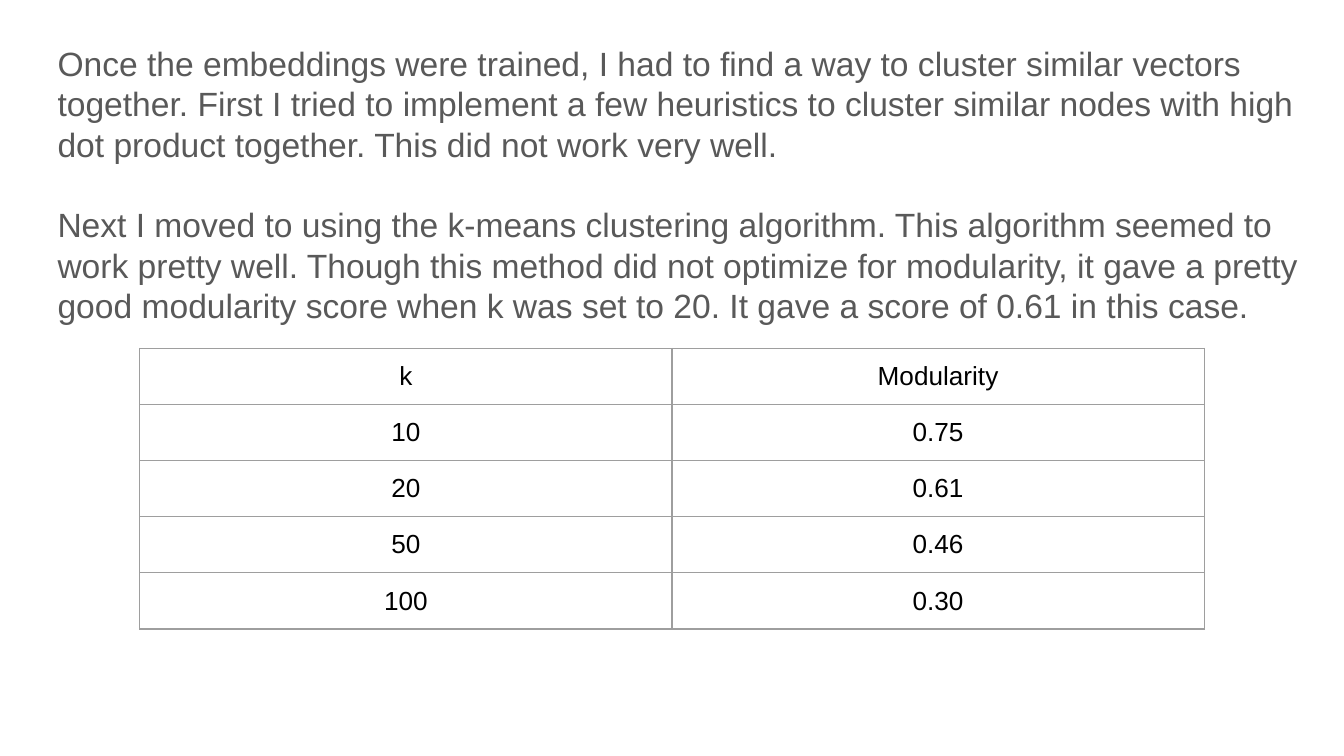
from dataclasses import dataclass

from lxml.etree import SubElement
from pptx import Presentation
from pptx.dml.color import RGBColor
from pptx.enum.text import PP_ALIGN as Align
from pptx.oxml.ns import qn
from pptx.util import Inches, Pt

SLIDE_WIDTH = Inches(10)
SLIDE_HEIGHT = SLIDE_WIDTH * 9 // 16
INSET, CELL_BOTTOM_INSET = Inches(0.1), Inches(0.08)
BORDER_COLOR, BORDER_WIDTH = "9E9E9E", Pt(0.75)
BORDER_SIDES = ("lnL", "lnR", "lnT", "lnB")

STORY = (
    "Once the embeddings were trained, I had to find a way to cluster similar vectors together. "
    "First I tried to implement a few heuristics to cluster similar nodes with high dot product "
    "together. This did not work very well.",
    "Next I moved to using the k-means clustering algorithm. This algorithm seemed to work pretty "
    "well. Though this method did not optimize for modularity, it gave a pretty good modularity "
    "score when k was set to 20. It gave a score of 0.61 in this case.",
)


@dataclass(frozen=True)
class Area:
    """A rectangle in percent of the slide's size."""

    left: float
    top: float
    width: float
    height: float

    def lengths(self) -> tuple[int, int, int, int]:
        """Return left, top, width and height as slide lengths."""
        return (
            round(self.left * SLIDE_WIDTH / 100),
            round(self.top * SLIDE_HEIGHT / 100),
            round(self.width * SLIDE_WIDTH / 100),
            round(self.height * SLIDE_HEIGHT / 100),
        )


@dataclass(frozen=True)
class Score:
    """One row of the modularity table."""

    k: str
    modularity: str


SCORES = (
    Score("k", "Modularity"),
    Score("10", "0.75"),
    Score("20", "0.61"),
    Score("50", "0.46"),
    Score("100", "0.30"),
)
STORY_AREA = Area(3.3, 3.9, 94.4, 93.2)
SCORES_AREA = Area(10.4, 46.1, 79.2, 37.1)


def color(hex_code: str) -> RGBColor:
    """Turn a hex string into a colour."""
    return RGBColor.from_string(hex_code)


def style(paragraph, size: int, hex_code: str) -> None:
    """Set the font of a paragraph."""
    font = paragraph.font
    font.name, font.size = "Arial", Pt(size)
    font.color.rgb = color(hex_code)


def set_insets(holder, bottom: int = INSET) -> None:
    """Set the margins of a text frame or cell."""
    holder.margin_left = holder.margin_right = holder.margin_top = INSET
    holder.margin_bottom = bottom


def draw_story(slide, area: Area, story: tuple[str, ...]) -> None:
    """Write the paragraphs, one line's height apart."""
    frame = slide.shapes.add_textbox(*area.lengths()).text_frame
    frame.word_wrap = True
    set_insets(frame)
    for index, words in enumerate(story):
        paragraph = frame.add_paragraph() if index else frame.paragraphs[0]
        paragraph.text = words
        if index:
            paragraph.space_before = Pt(21.6)
        style(paragraph, 18, "595959")


def outline(cell) -> None:
    """Draw the four borders of a cell."""
    properties = cell._tc.get_or_add_tcPr()
    for side in BORDER_SIDES:
        border = SubElement(properties, qn(f"a:{side}"), w=str(BORDER_WIDTH))
        fill = SubElement(border, qn("a:solidFill"))
        SubElement(fill, qn("a:srgbClr"), val=BORDER_COLOR)


def draw_scores(slide, area: Area, scores: tuple[Score, ...]) -> None:
    """Draw the table of modularity by k."""
    table = slide.shapes.add_table(len(scores), 2, *area.lengths()).table
    table.first_row = table.horz_banding = False
    for row, score in zip(table.rows, scores):
        for cell, value in zip(row.cells, (score.k, score.modularity)):
            outline(cell)
            cell.fill.background()
            set_insets(cell, CELL_BOTTOM_INSET)
            cell.text = value
            paragraph = cell.text_frame.paragraphs[0]
            paragraph.alignment = Align.CENTER
            style(paragraph, 14, "000000")


def main() -> None:
    """Build the slide and save it."""
    deck = Presentation()
    deck.slide_width, deck.slide_height = SLIDE_WIDTH, SLIDE_HEIGHT
    slide = deck.slides.add_slide(deck.slide_layouts[6])
    draw_story(slide, STORY_AREA, STORY)
    draw_scores(slide, SCORES_AREA, SCORES)
    deck.save("out.pptx")


if __name__ == "__main__":
    main()
